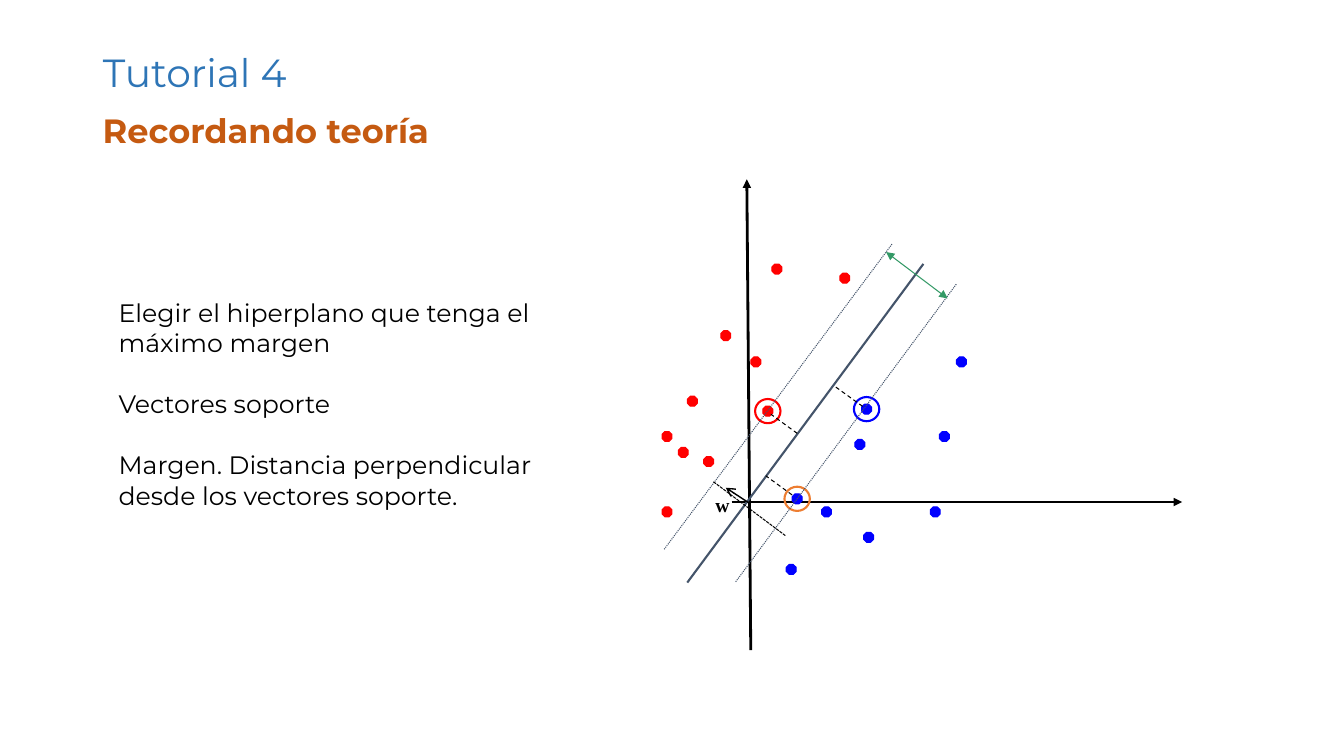
from lxml.etree import SubElement
from pptx import Presentation
from pptx.dml.color import RGBColor
from pptx.enum.dml import MSO_LINE as Dash
from pptx.enum.shapes import MSO_CONNECTOR as Connector, MSO_SHAPE as Shape
from pptx.enum.text import MSO_ANCHOR as Anchor, MSO_AUTO_SIZE as AutoSize
from pptx.oxml.ns import qn
from pptx.util import Cm, Pt

BLACK, RED, BLUE, ORANGE = "000000", "FF0000", "0000FF", "ED7D31"
SLATE, GREEN = "44546A", "339966"
RED_POINTS = [(19.05, 9.12), (17.45, 10.11), (17.86, 11.63), (16.81, 12.9),
              (18.29, 8.46), (16.81, 11), (17.22, 11.4), (19.58, 6.78),
              (21.29, 7.01)]
BLUE_POINTS = [(20.83, 12.9), (23.57, 12.9), (19.94, 14.35), (21.67, 11.2),
               (21.89, 13.54), (23.8, 11), (24.23, 9.12)]
SUPPORT_VECTORS = [(19.35, 10.36, RED, RED), (20.09, 12.57, BLUE, ORANGE),
                   (21.84, 10.31, BLUE, BLUE)]
PERPENDICULARS = [(21.74, 10.24, 21.03, 9.73), (19.96, 12.47, 19.3, 11.99),
                  (20.09, 10.92, 19.43, 10.44)]
MARGINS = [(18.54, 14.66, 24.1, 7.16), (16.74, 13.84, 22.48, 6.15)]
AXES = [(18.92, 16.38, 18.82, 4.52), (18.44, 12.65, 29.79, 12.65)]


def color(value):
    return RGBColor.from_string(value)


def write(frame, *texts, size=18, fill=BLACK, font="Montserrat", bold=False,
          spacing=None, gap=0):
    for index, text in enumerate(texts):
        paragraph = frame.add_paragraph() if index else frame.paragraphs[0]
        paragraph.line_spacing = spacing
        if index:
            paragraph.space_before = Pt(gap)
        run = paragraph.add_run()
        run.text = text
        run.font.name, run.font.size, run.font.bold = font, Pt(size), bold
        run.font.color.rgb = color(fill)


class SlideBuilder:
    """Draws styled elements on the current slide, with lengths in centimetres."""

    def __init__(self, presentation):
        self.slide = presentation.slides.add_slide(presentation.slide_layouts[5])
        self.shapes = self.slide.shapes

    def title(self, text, left, top, width, height, **style):
        title = self.shapes.title
        title.left, title.top = Cm(left), Cm(top)
        title.width, title.height = Cm(width), Cm(height)
        frame = title.text_frame
        frame.vertical_anchor = Anchor.MIDDLE
        write(frame, text, **style)
        frame.paragraphs[0].alignment = 1

    def text(self, texts, left, top, width, height, wrap=True, **style):
        box = self.shapes.add_textbox(Cm(left), Cm(top), Cm(width), Cm(height))
        box.text_frame.word_wrap = wrap
        box.text_frame.auto_size = AutoSize.NONE if wrap else AutoSize.SHAPE_TO_FIT_TEXT
        write(box.text_frame, *texts, **style)

    def centred(self, kind, x, y, width, height, line, weight, fill=None):
        shape = self.shapes.add_shape(kind, Cm(x - width / 2), Cm(y - height / 2),
                                      Cm(width), Cm(height))
        shape.shadow.inherit = False
        shape.line.color.rgb = color(line)
        shape.line.width = Pt(weight)
        if fill:
            shape.fill.solid()
            shape.fill.fore_color.rgb = color(fill)
        else:
            shape.fill.background()

    def point(self, x, y, fill):
        self.centred(Shape.OCTAGON, x, y, 0.25, 0.25, fill, 0.75, fill)

    def ring(self, x, y, line):
        self.centred(Shape.OVAL, x, y, 0.64, 0.61, line, 1.5)

    def line(self, ends, fill=BLACK, weight=0.75, dash=None, head=None, tail=None):
        connector = self.shapes.add_connector(Connector.STRAIGHT, *map(Cm, ends))
        connector.line.color.rgb = color(fill)
        connector.line.width = Pt(weight)
        if dash:
            connector.line.dash_style = dash
        properties = connector._element.spPr
        outline = properties.find(qn("a:ln"))
        for tag, arrow in (("a:headEnd", head), ("a:tailEnd", tail)):
            if arrow:
                SubElement(outline, qn(tag), type=arrow)
        SubElement(properties, qn("a:effectLst"))


def main():
    presentation = Presentation()
    presentation.slide_width, presentation.slide_height = Cm(33.87), Cm(19.05)
    builder = SlideBuilder(presentation)
    builder.title("Tutorial 4", 2.34, 1.02, 29.21, 1.75,
                  size=28, fill="2E75B6", spacing=0.9)
    builder.text(["Recordando teoría"], 2.34, 2.77, 29.21, 2.29,
                 size=24, fill="C55A11", bold=True, spacing=0.9)

    for axis in AXES:
        builder.line(axis, weight=2, tail="triangle")
    for points, fill in ((RED_POINTS, RED), (BLUE_POINTS, BLUE)):
        for x, y in points:
            builder.point(x, y, fill)
    builder.line((17.32, 14.68, 23.27, 6.65), SLATE, 1.5)
    for x, y, fill, ring in SUPPORT_VECTORS:
        builder.point(x, y, fill)
        builder.ring(x, y, ring)
    for perpendicular in PERPENDICULARS:
        builder.line(perpendicular, dash=Dash.DASH)
    for margin in MARGINS:
        builder.line(margin, SLATE, dash=Dash.ROUND_DOT)
    builder.line((22.33, 6.35, 23.88, 7.52), GREEN, head="triangle", tail="triangle")
    builder.line((18.87, 12.67, 18.29, 12.29), weight=1, tail="arrow")
    builder.text(["w"], 17.78, 12.29, 0.86, 0.86, wrap=False,
                 size=14, font="Times New Roman", bold=True)
    builder.line((17.98, 12.14, 19.81, 13.51), dash=Dash.SQUARE_DOT)

    builder.text(["Elegir el hiperplano que tenga el máximo margen",
                  "Vectores soporte",
                  "Margen. Distancia perpendicular desde los vectores soporte."],
                 2.74, 7.37, 11.96, 5.64, gap=22)
    presentation.save("out.pptx")


if __name__ == "__main__":
    main()
